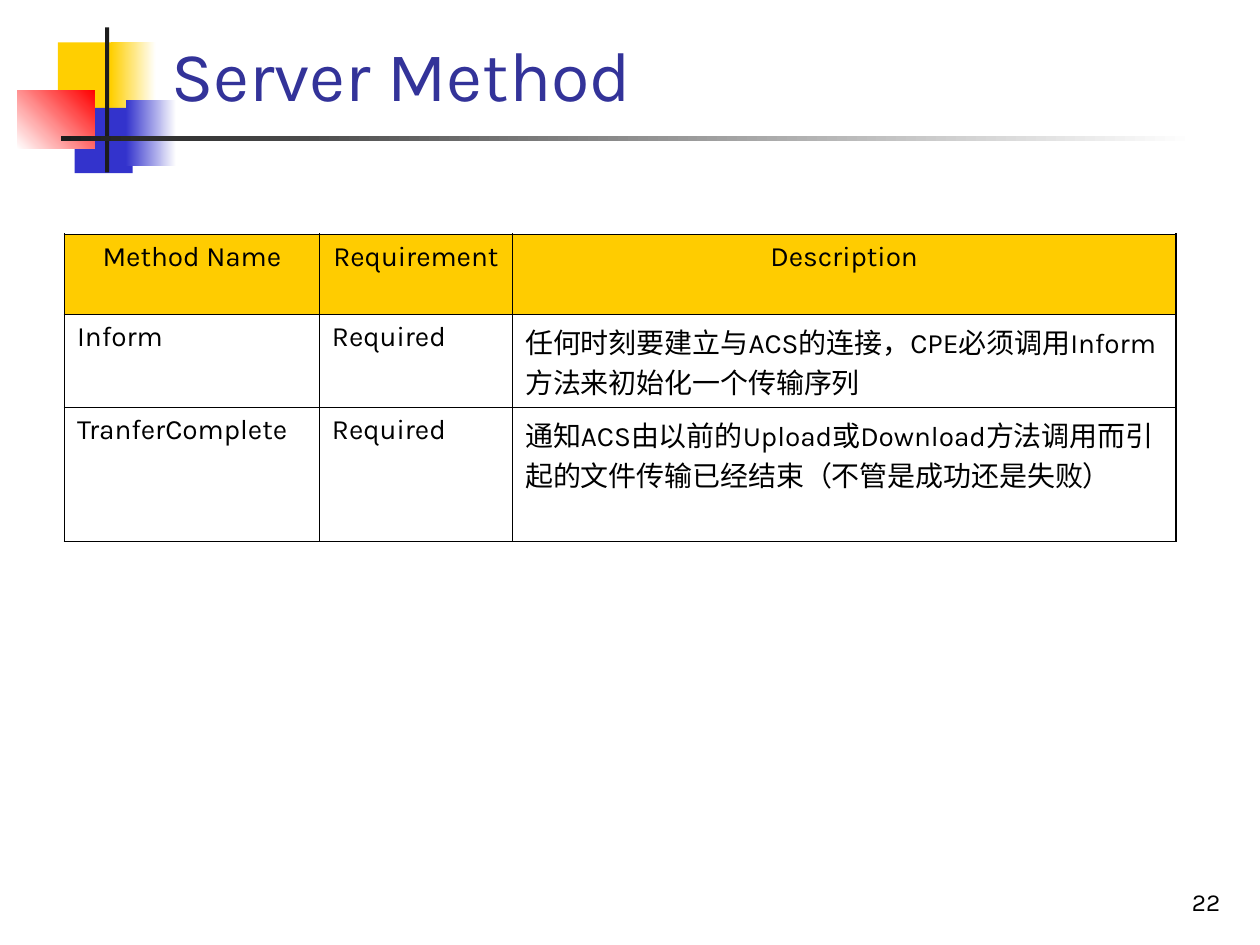
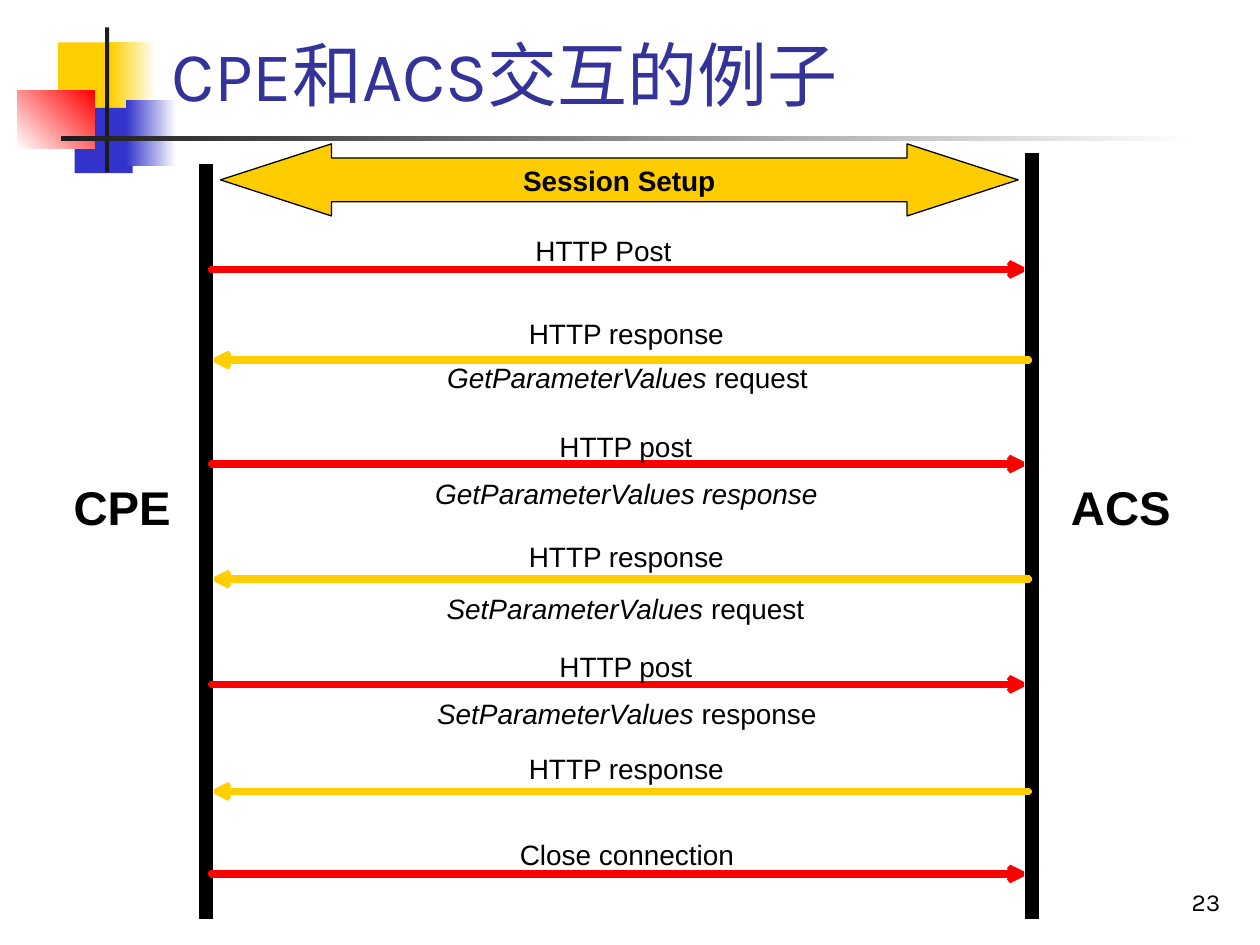
from dataclasses import dataclass
from typing import NamedTuple, Optional

from lxml.etree import SubElement
from pptx import Presentation
from pptx.dml.color import RGBColor
from pptx.enum.shapes import MSO_CONNECTOR, MSO_SHAPE
from pptx.enum.text import MSO_ANCHOR, MSO_AUTO_SIZE, PP_ALIGN
from pptx.oxml.ns import qn
from pptx.util import Pt

BLACK = RGBColor(0x00, 0x00, 0x00)
WHITE = RGBColor(0xFF, 0xFF, 0xFF)
CHARCOAL = RGBColor(0x1C, 0x1C, 0x1C)
TITLE_BLUE = RGBColor(0x33, 0x33, 0x99)
BLUE = RGBColor(0x33, 0x33, 0xCC)
GOLD = RGBColor(0xFF, 0xCF, 0x01)
AMBER = RGBColor(0xFF, 0xCC, 0x00)
RED = RGBColor(0xFF, 0x00, 0x00)

THEME_FONT = "Karla"
DIAGRAM_FONT = "Arial"
OUTER_BORDER = Pt(1.08)
INNER_BORDER = Pt(0.45)


class Box(NamedTuple):
    left: float
    top: float
    width: float
    height: float

    def lengths(self):
        return tuple(Pt(value) for value in self)


@dataclass(frozen=True)
class BandPiece:
    box: Box
    start: RGBColor
    end: Optional[RGBColor] = None
    angle: float = 0


@dataclass(frozen=True)
class Label:
    top: float
    width: float
    text: str
    italic: str = ""
    center: float = 358.2
    size: float = 16
    bold: bool = False


@dataclass(frozen=True)
class Message:
    y: float
    to_acs: bool
    above: Label
    below: Optional[Label] = None


BAND = [
    BandPiece(Box(33.1, 24.2, 34.5, 37.6), GOLD),
    BandPiece(Box(63.4, 24.2, 25.6, 37.6), GOLD, WHITE),
    BandPiece(Box(42.6, 61.6, 33.2, 37.4), BLUE),
    BandPiece(Box(72, 57.4, 28.8, 37.4), BLUE, WHITE),
    BandPiece(Box(9.8, 51.6, 44.4, 33.4), WHITE, RED, 45),
    BandPiece(Box(60, 15.7, 2.4, 82.8), CHARCOAL),
    BandPiece(Box(34.8, 77.7, 648, 2.7), CHARCOAL, WHITE),
]

COLUMN_WIDTHS = [145.6, 110.4, 379]
ROW_HEIGHTS = [46, 53, 76.6]
METHODS = [
    ["Method Name", "Requirement", "Description"],
    ["Inform", "Required",
     "任何时刻要建立与ACS的连接，CPE必须调用Inform方法来初始化一个传输序列"],
    ["TranferComplete", "Required",
     "通知ACS由以前的Upload或Download方法调用而引起的文件传输已经结束（不管是成功还是失败）"],
]

ENDPOINTS = [
    Label(273.2, 61, "CPE", center=72.6, size=27, bold=True),
    Label(273.2, 57, "ACS", center=640.5, size=27, bold=True),
]
LIFELINES = [(117.8, 93.6), (589.7, 87.6)]
LIFELINE_END = 524.9
MESSAGES = [
    Message(154, True, Label(133.2, 78, "HTTP Post", center=345)),
    Message(205.8, False, Label(180.7, 112, "HTTP response"),
            Label(205.9, 207, "GetParameterValues request", "GetParameterValues ",
                  center=359)),
    Message(265.2, True, Label(245.5, 77, "HTTP post"),
            Label(272.2, 219, "GetParameterValues response", "GetParameterValues response")),
    Message(331, False, Label(308.2, 112, "HTTP response"),
            Label(338.2, 206, "SetParameterValues request", "SetParameterValues ")),
    Message(391.1, True, Label(371.3, 77, "HTTP post"),
            Label(398.2, 218, "SetParameterValues response", "SetParameterValues ",
                  center=358.8)),
    Message(452.3, False, Label(429.6, 112, "HTTP response")),
    Message(499.4, True, Label(478.8, 126, "Close connection", center=360)),
]


def style_font(font, name: str, size: float, color: RGBColor, bold=None) -> None:
    font.name = name
    font.size = Pt(size)
    font.color.rgb = color
    font.bold = bold


def draw_band(slide) -> None:
    for piece in BAND:
        block = slide.shapes.add_shape(MSO_SHAPE.RECTANGLE, *piece.box.lengths())
        block.shadow.inherit = False
        block.line.fill.background()
        if piece.end is None:
            block.fill.solid()
            block.fill.fore_color.rgb = piece.start
        else:
            block.fill.gradient()
            block.fill.gradient_angle = piece.angle
            for stop, color in zip(block.fill.gradient_stops, (piece.start, piece.end)):
                stop.color.rgb = color


def add_page(deck, heading: str, number: int):
    slide = deck.slides.add_slide(deck.slide_layouts.get_by_name("Title Only"))
    draw_band(slide)

    page_number = slide.shapes.add_textbox(*Box(554.6, 491.5, 149.8, 36).lengths())
    frame = page_number.text_frame
    frame.word_wrap = True
    frame.vertical_anchor = MSO_ANCHOR.BOTTOM
    frame.text = str(number)
    frame.paragraphs[0].alignment = PP_ALIGN.RIGHT
    style_font(frame.paragraphs[0].runs[0].font, THEME_FONT, 14, BLACK)

    title = slide.shapes.title
    title.left, title.top, title.width, title.height = Box(90.7, 3.6, 613.4, 66.2).lengths()
    frame = title.text_frame
    frame.text = heading
    frame.auto_size = MSO_AUTO_SIZE.NONE
    frame.vertical_anchor = MSO_ANCHOR.BOTTOM
    frame.paragraphs[0].alignment = PP_ALIGN.LEFT
    style_font(frame.paragraphs[0].runs[0].font, THEME_FONT, 40, TITLE_BLUE)
    return slide


def set_borders(cell, outer_sides: dict) -> None:
    properties = cell._tc.get_or_add_tcPr()
    for side, is_outer in outer_sides.items():
        width = OUTER_BORDER if is_outer else INNER_BORDER
        border = SubElement(properties, qn(f"a:ln{side}"), w=str(int(width)))
        paint = SubElement(border, qn("a:solidFill"))
        SubElement(paint, qn("a:srgbClr"), val=str(BLACK))


def draw_methods(slide) -> None:
    last_row, last_column = len(METHODS) - 1, len(COLUMN_WIDTHS) - 1
    area = Box(36.9, 133.9, sum(COLUMN_WIDTHS), sum(ROW_HEIGHTS))
    methods = slide.shapes.add_table(len(METHODS), len(COLUMN_WIDTHS), *area.lengths()).table
    methods.first_row = methods.horz_banding = False
    for column, width in zip(methods.columns, COLUMN_WIDTHS):
        column.width = Pt(width)
    for row, height in zip(methods.rows, ROW_HEIGHTS):
        row.height = Pt(height)
    for r, entries in enumerate(METHODS):
        for c, entry in enumerate(entries):
            cell = methods.cell(r, c)
            cell.text_frame.text = entry
            paragraph = cell.text_frame.paragraphs[0]
            style_font(paragraph.runs[0].font, THEME_FONT, 16, BLACK)
            set_borders(cell, {"L": c == 0, "R": c == last_column,
                               "T": r == 0, "B": r == last_row})
            if r == 0:
                paragraph.alignment = PP_ALIGN.CENTER
                cell.fill.solid()
                cell.fill.fore_color.rgb = AMBER
            else:
                cell.fill.background()


def draw_label(slide, label: Label) -> None:
    box = Box(label.center - label.width / 2, label.top, label.width, label.size * 1.2)
    frame = slide.shapes.add_textbox(*box.lengths()).text_frame
    frame.margin_left = frame.margin_right = frame.margin_top = frame.margin_bottom = 0
    frame.word_wrap = False
    frame.auto_size = MSO_AUTO_SIZE.SHAPE_TO_FIT_TEXT
    paragraph = frame.paragraphs[0]
    for text, italic in ((label.italic, True), (label.text[len(label.italic):], None)):
        if text:
            run = paragraph.add_run()
            run.text = text
            style_font(run.font, DIAGRAM_FONT, label.size, BLACK, label.bold)
            run.font.italic = italic


def draw_lifeline(slide, x: float, top: float) -> None:
    lifeline = slide.shapes.add_connector(
        MSO_CONNECTOR.STRAIGHT, Pt(x), Pt(top), Pt(x), Pt(LIFELINE_END))
    lifeline.line.width = Pt(8)
    lifeline.line.color.rgb = BLACK
    SubElement(lifeline._element.spPr, qn("a:effectLst"))


def draw_message(slide, message: Message) -> None:
    tail, tip, step = (120.4, 584.6, 1) if message.to_acs else (588.1, 123.1, -1)
    y, neck, notch, back = message.y, tip - 4.4 * step, tip - 5 * step, tip - 8 * step
    shaft = [(tail, y - 0.6), (neck, y - 0.6), (neck, y + 0.6), (tail, y + 0.6)]
    head = [(notch, y), (back, y - 4), (tip, y), (back, y + 4)]
    shaft, head = ([(Pt(px), Pt(py)) for px, py in part] for part in (shaft, head))
    outline = slide.shapes.build_freeform(*shaft[0])
    outline.add_line_segments(shaft[1:], close=True)
    outline.move_to(*head[0])
    outline.add_line_segments(head[1:], close=True)
    arrow = outline.convert_to_shape()
    arrow.shadow.inherit = False
    arrow.fill.solid()
    arrow.fill.fore_color.rgb = BLACK
    arrow.line.width = Pt(3)
    arrow.line.color.rgb = RED if message.to_acs else GOLD
    SubElement(arrow.line._get_or_add_ln(), qn("a:bevel"))
    draw_label(slide, message.above)
    if message.below:
        draw_label(slide, message.below)


def draw_session_setup(slide) -> None:
    session = slide.shapes.add_shape(
        MSO_SHAPE.LEFT_RIGHT_ARROW, *Box(126, 82.2, 455.8, 41.2).lengths())
    session.adjustments[0] = 0.61
    session.adjustments[1] = 1.54
    session.shadow.inherit = False
    session.fill.solid()
    session.fill.fore_color.rgb = AMBER
    session.line.color.rgb = BLACK
    session.line.width = Pt(0.75)
    frame = session.text_frame
    frame.word_wrap = False
    frame.vertical_anchor = MSO_ANCHOR.MIDDLE
    frame.text = "Session Setup"
    frame.paragraphs[0].alignment = PP_ALIGN.CENTER
    style_font(frame.paragraphs[0].runs[0].font, DIAGRAM_FONT, 16, BLACK, True)


def main() -> None:
    deck = Presentation()
    deck.slide_width, deck.slide_height = Pt(720), Pt(540)

    draw_methods(add_page(deck, "Server Method", 22))

    exchange = add_page(deck, "CPE和ACS交互的例子", 23)
    for x, top in LIFELINES:
        draw_lifeline(exchange, x, top)
    for endpoint in ENDPOINTS:
        draw_label(exchange, endpoint)
    for message in MESSAGES:
        draw_message(exchange, message)
    draw_session_setup(exchange)

    deck.save("out.pptx")


if __name__ == "__main__":
    main()
